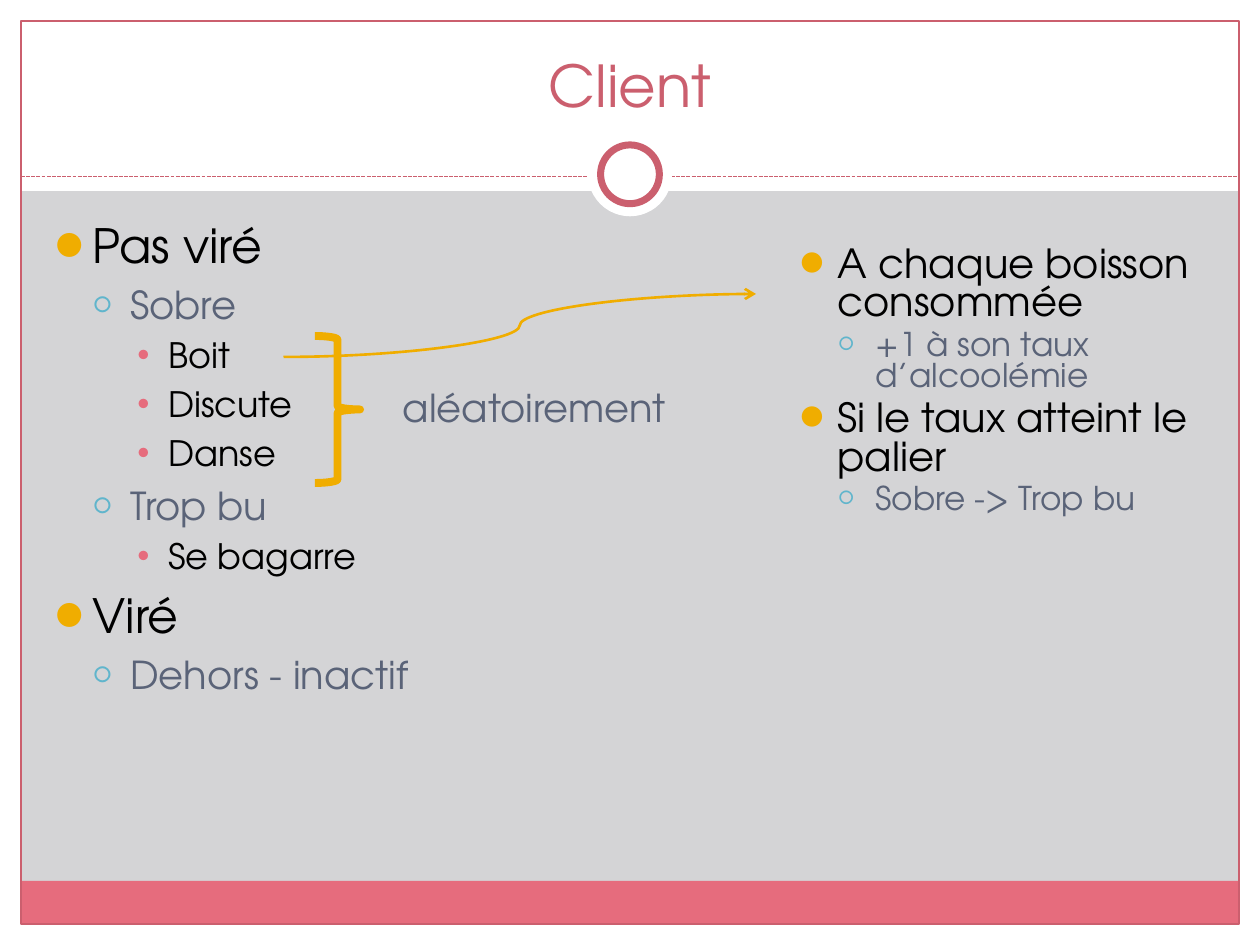
from dataclasses import dataclass

from lxml import etree
from pptx import Presentation
from pptx import util as u
from pptx.dml.color import RGBColor
from pptx.enum import dml, shapes, text
from pptx.oxml.ns import qn

PX = 7620  # EMU per px, 120 px to the inch


@dataclass(frozen=True)
class Theme:
    font: str = "TeX Gyre Adventor"
    white: str = "FFFFFF"
    black: str = "000000"
    grey: str = "D4D4D6"
    pink: str = "E66C7D"
    rose: str = "CB5F6E"
    slate: str = "5A6378"
    amber: str = "F0AD00"
    sky: str = "60B5CC"
    title_size: float = 33
    label_size: float = 22
    main_sizes: tuple = (27, 22, 20)
    side_sizes: tuple = (22.9, 18.7)


theme = Theme()

# Per list level: text colour, bullet, bullet colour, bullet size %, left px, hanging px
LEVELS = [
    (theme.black, "●", theme.amber, 85, 36, 36),
    (theme.slate, "○", theme.sky, 70, 72, 36),
    (theme.black, "•", theme.pink, 75, 108, 30),
]


def add_form(kind, box, fill=None, line=None, width=0.75):
    form = page.shapes.add_shape(kind, *[v * PX for v in box])
    form.shadow.inherit = False
    if fill:
        form.fill.solid()
        form.fill.fore_color.rgb = RGBColor.from_string(fill)
    else:
        form.fill.background()
    if line:
        form.line.color.rgb = RGBColor.from_string(line)
        form.line.width = u.Pt(width)
    else:
        form.line.fill.background()
    return form


def write(frame, words, *, size, color, level=None, spacing=None, align=None):
    first = not frame.text
    para = frame.paragraphs[0] if first else frame.add_paragraph()
    if align is not None:
        para.alignment = align
    if level is not None:
        _, mark, mark_color, mark_size, left, hang = LEVELS[level]
        para.level = level
        props = para._p.get_or_add_pPr()
        props.set("marL", str(left * PX))
        props.set("indent", str(-hang * PX))
        tint = etree.SubElement(props, qn("a:buClr"))
        etree.SubElement(tint, qn("a:srgbClr"), val=mark_color)
        etree.SubElement(props, qn("a:buSzPct"), val=str(mark_size * 1000))
        etree.SubElement(props, qn("a:buFont"), typeface=theme.font)
        etree.SubElement(props, qn("a:buChar"), char=mark)
        para.space_before = u.Pt(0 if first else round(size * 0.2, 1))
    if spacing:
        para.line_spacing = spacing
    span = para.add_run()
    span.text = words
    span.font.name = theme.font
    span.font.size = u.Pt(size)
    span.font.color.rgb = RGBColor.from_string(color)


deck = Presentation()
deck.slide_width, deck.slide_height = 1200 * PX, 900 * PX
page = deck.slides.add_slide(deck.slide_layouts[1])
page.background.fill.solid()
page.background.fill.fore_color.rgb = RGBColor.from_string(theme.grey)
RECT, OVAL = shapes.MSO_SHAPE.RECTANGLE, shapes.MSO_SHAPE.OVAL

# White margins, header, footer band and frame
for margin in [(0, 880, 1200, 20), (0, 0, 1200, 182), (0, 0, 20, 900), (1180, 0, 20, 900)]:
    add_form(RECT, margin, fill=theme.white)
add_form(RECT, (20, 839, 1160, 41), fill=theme.pink)
add_form(RECT, (20, 20, 1160, 860), line=theme.rose)

# Dashed rule with the ring on it
rule = page.shapes.add_connector(
    shapes.MSO_CONNECTOR.STRAIGHT, 20 * PX, 168 * PX, 1180 * PX, 168 * PX)
rule.line.color.rgb = RGBColor.from_string(theme.rose)
rule.line.width = u.Pt(0.75)
rule.line.dash_style = dml.MSO_LINE.SQUARE_DOT
etree.SubElement(rule.element.spPr, qn("a:effectLst"))
add_form(OVAL, (560, 126, 80, 80), fill=theme.white)
add_form(OVAL, (572, 138, 56, 56), fill=theme.white, line=theme.rose, width=4)

# Title and body placeholders, brought in front of the decoration
title, body = page.shapes.title, page.placeholders[1]
for holder, area in [(title, (40, 30, 1120, 100)), (body, (40, 200, 600, 600))]:
    holder.left, holder.top, holder.width, holder.height = [v * PX for v in area]
    holder.text_frame.auto_size = text.MSO_AUTO_SIZE.NONE
    holder.element.getparent().append(holder.element)
title.text_frame.vertical_anchor = text.MSO_ANCHOR.MIDDLE
write(title.text_frame, "Client", size=theme.title_size, color=theme.rose,
      align=text.PP_ALIGN.CENTER)

# Client states
for level, words in [
    (0, "Pas viré"), (1, "Sobre"), (2, "Boit"), (2, "Discute"), (2, "Danse"),
    (1, "Trop bu"), (2, "Se bagarre"), (0, "Viré"), (1, "Dehors - inactif"),
]:
    write(body.text_frame, words, size=theme.main_sizes[level],
          color=LEVELS[level][0], level=level)

# Brace and its label
brace = add_form(shapes.MSO_SHAPE.RIGHT_BRACE, (300, 320, 43, 140),
                 line=theme.amber, width=4.5)
brace.adjustments[0], brace.adjustments[1] = 0.08, 0.5
label = page.shapes.add_textbox(*[v * PX for v in (372, 360, 288, 101)])
label.text_frame.word_wrap = True
write(label.text_frame, "aléatoirement", size=theme.label_size, color=theme.slate)

# Drinking rules
rules = page.shapes.add_textbox(*[v * PX for v in (750, 230, 410, 290)])
rules.text_frame.word_wrap = True
for level, words in [
    (0, "A chaque boisson consommée"), (1, "+1 à son taux d’alcoolémie"),
    (0, "Si le taux atteint le palier"), (1, "Sobre -> Trop bu"),
]:
    write(rules.text_frame, words, size=theme.side_sizes[level],
          color=LEVELS[level][0], level=level, spacing=0.8)

# Curved arrow from "Boit" to the rules
arrow = page.shapes.add_connector(
    shapes.MSO_CONNECTOR.CURVE, 270 * PX, 340 * PX, 720 * PX, 280 * PX)
arrow.line.color.rgb = RGBColor.from_string(theme.amber)
arrow.line.width = u.Pt(1.5)
etree.SubElement(arrow.line._get_or_add_ln(), qn("a:tailEnd"), type="arrow")
etree.SubElement(arrow.element.spPr, qn("a:effectLst"))

deck.save("out.pptx")
